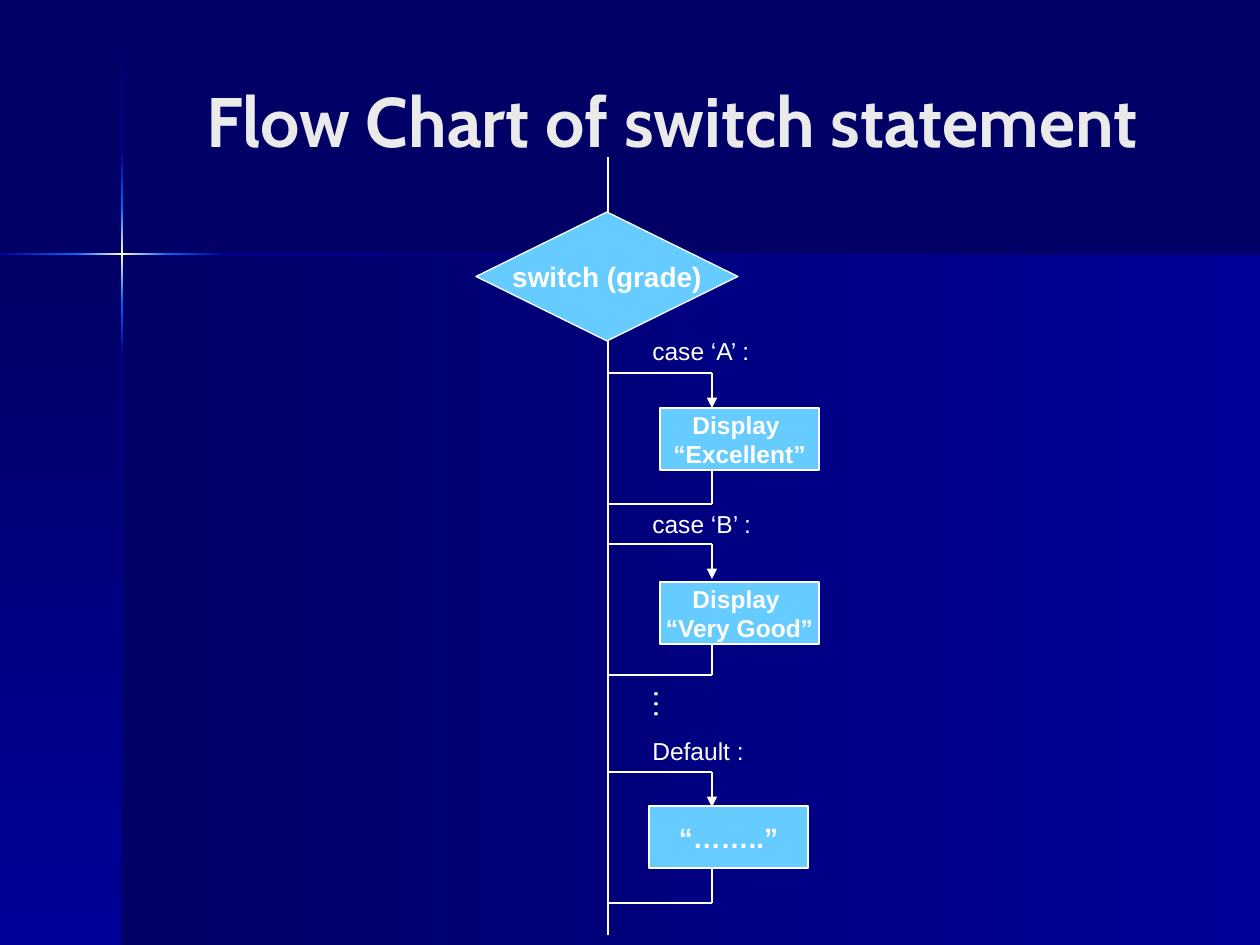
import pptx
import pptx.util
import pptx.dml.color
import pptx.enum.shapes
import pptx.enum.text
import pptx.oxml.ns
import lxml.etree

RGB = pptx.dml.color.RGBColor
SHAPE = pptx.enum.shapes.MSO_SHAPE
ALIGN = pptx.enum.text.PP_ALIGN
ANCHOR = pptx.enum.text.MSO_ANCHOR
FIT = pptx.enum.text.MSO_AUTO_SIZE
PX = 7257  # EMU per px, 126 px to the inch

NAVY = RGB(0x00, 0x00, 0x66)
ROYAL = RGB(0x00, 0x00, 0x99)
BRIGHT = RGB(0x00, 0x66, 0xFF)
CREAM = RGB(0xFF, 0xFF, 0xCC)
SKY = RGB(0x66, 0xCC, 0xFF)
WHITE = RGB(0xFF, 0xFF, 0xFF)
PALE = RGB(0xEA, 0xEA, 0xEA)


def write(shape, text, size=14, font="Arial", color=WHITE, bold=False,
          align=ALIGN.LEFT, anchor=ANCHOR.TOP, wrap=False, fit=FIT.NONE):
    frame = shape.text_frame
    frame.text = text
    frame.word_wrap = wrap
    frame.auto_size = fit
    frame.vertical_anchor = anchor
    for para in frame.paragraphs:
        para.alignment = align
        para.font.size = pptx.util.Pt(size)
        para.font.name = font
        para.font.bold = bold
        para.font.color.rgb = color


def draw(x1, y1, x2, y2, arrow=False):
    line = slide.shapes.add_connector(
        pptx.enum.shapes.MSO_CONNECTOR.STRAIGHT, x1 * PX, y1 * PX, x2 * PX, y2 * PX)
    line.line.color.rgb = WHITE
    line.line.width = pptx.util.Pt(0.75)
    if arrow:
        lxml.etree.SubElement(line.line._get_or_add_ln(),
                              pptx.oxml.ns.qn("a:tailEnd"), type="triangle")
    lxml.etree.SubElement(line._element.spPr, pptx.oxml.ns.qn("a:effectLst"))


deck = pptx.Presentation()
deck.slide_width = pptx.util.Inches(10)
deck.slide_height = pptx.util.Inches(7.5)
slide = deck.slides.add_slide(deck.slide_layouts[5])
slide.background.fill.solid()
slide.background.fill.fore_color.rgb = NAVY

# Background panels and the two glowing bars, as (box, colours, angle)
panels = [((122, 255, 1138, 690), (NAVY, ROYAL), 0),
          ((0, 255, 122, 690), (NAVY, ROYAL), 270)]
glow = [NAVY, ROYAL, BRIGHT, CREAM, BRIGHT, ROYAL, NAVY]
down = [1, 153, 208, 254, 300, 355, 945]
across = [0, 76, 122, 168, 223, 1260]
for a, b, *pair in zip(down, down[1:], glow, glow[1:]):
    panels.append(((121, a, 2, b - a), pair, 270))
for a, b, *pair in zip(across, across[1:], glow[1:], glow[2:]):
    panels.append(((a, 253, b - a, 2), pair, 0))
for box, pair, angle in panels:
    panel = slide.shapes.add_shape(SHAPE.RECTANGLE, *[v * PX for v in box])
    panel.shadow.inherit = False
    panel.line.fill.background()
    panel.fill.gradient()
    panel.fill.gradient_angle = angle
    for stop, color in zip(panel.fill.gradient_stops, pair):
        stop.color.rgb = color

# Title
title = slide.shapes.title
title.left, title.top, title.width, title.height = [v * PX for v in (84, 18, 1176, 203)]
write(title, "Flow Chart of switch statement", size=40, font="Cabin", color=PALE,
      bold=True, align=ALIGN.CENTER, anchor=ANCHOR.MIDDLE, wrap=True)

# Main stem and branches: out to the box, then back to the stem
STEM, SIDE = 608, 712
draw(STEM, 157, STEM, 233)
draw(STEM, 341, STEM, 935)
for top in (373, 544, 772):
    draw(STEM, top, SIDE, top)
    draw(SIDE, top, SIDE, top + 35, arrow=True)
    draw(SIDE, top + 97, SIDE, top + 131)
    draw(STEM, top + 131, SIDE, top + 131)

# Decision and action boxes
nodes = [
    (SHAPE.FLOWCHART_DECISION, (476, 212, 262, 129), "switch (grade)", 16),
    (SHAPE.RECTANGLE, (660, 408, 159, 62), "Display \n“Excellent”", 14),
    (SHAPE.RECTANGLE, (660, 582, 159, 62), "Display \n“Very Good”", 14),
    (SHAPE.RECTANGLE, (649, 806, 159, 62), "“……..”", 16),
]
for kind, box, text, size in nodes:
    node = slide.shapes.add_shape(kind, *[v * PX for v in box])
    node.shadow.inherit = False
    node.fill.solid()
    node.fill.fore_color.rgb = SKY
    node.line.color.rgb = WHITE
    node.line.width = pptx.util.Pt(0.75)
    write(node, text, size=size, bold=True, align=ALIGN.CENTER, anchor=ANCHOR.MIDDLE)

# Case labels and the turned ellipsis
labels = [((640, 330, 125, 42), "case ‘A’ :", 14, 0),
          ((640, 503, 125, 42), "case ‘B’ :", 14, 0),
          ((640, 730, 136, 42), "Default :", 14, 0),
          ((626, 692, 82, 50), "…", 18, 90)]
for box, text, size, turn in labels:
    label = slide.shapes.add_textbox(*[v * PX for v in box])
    label.rotation = turn
    write(label, text, size=size, wrap=text in ("Default :", "…"),
          fit=FIT.SHAPE_TO_FIT_TEXT)

deck.save("out.pptx")
